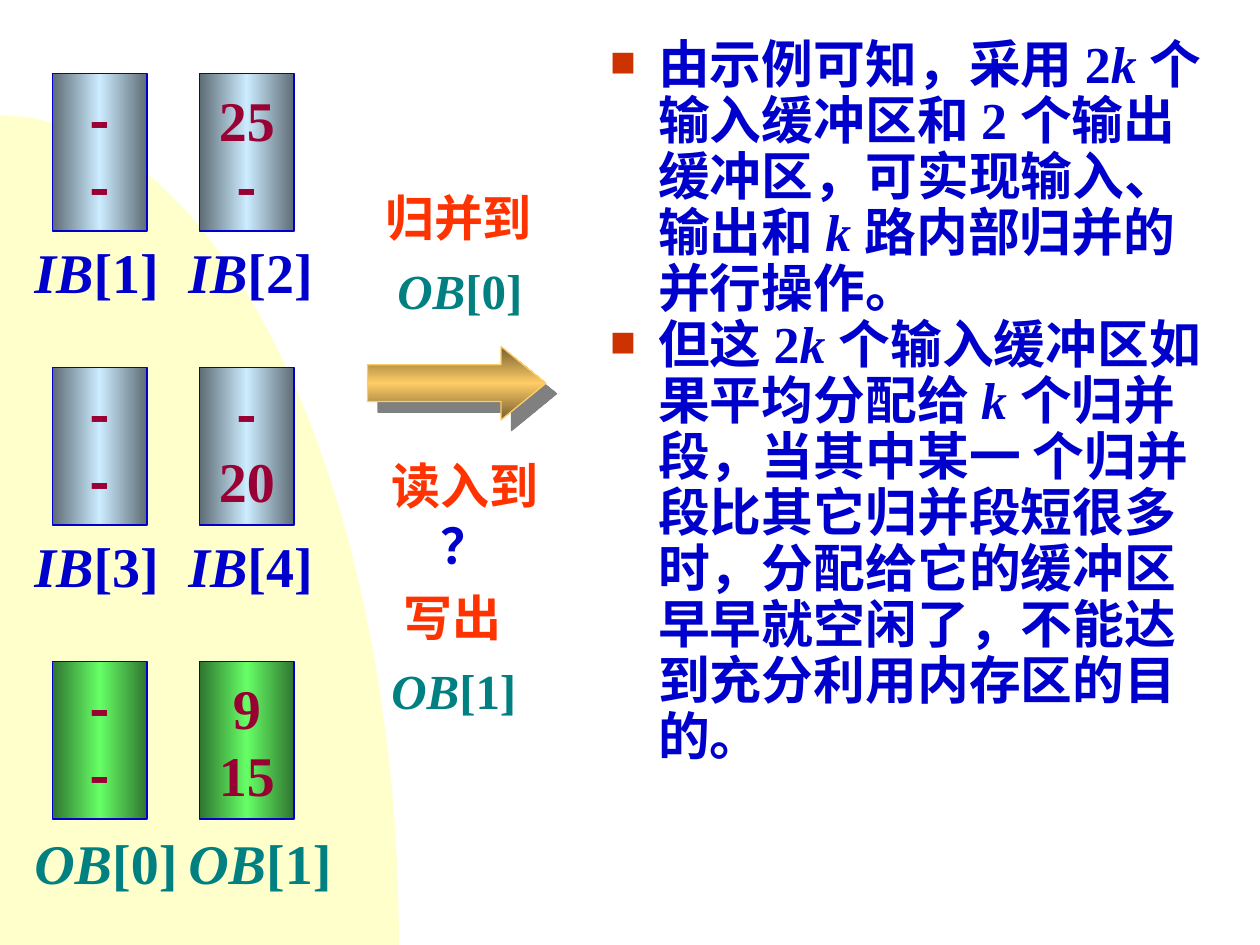
from math import cos, pi, sin

from lxml.etree import SubElement
from pptx import Presentation
from pptx.dml.color import RGBColor
from pptx.enum.shapes import MSO_SHAPE as SHAPE
from pptx.enum.text import MSO_ANCHOR as ANCHOR, PP_ALIGN as ALIGN
from pptx.oxml.ns import qn
from pptx.util import Pt

COLORS = {
    "blue": "0000CC", "teal": "008080", "red": "FF3300", "wine": "990033",
    "cream": "FFFFCC", "bullet": "CC3300", "shadow": "808080", "gold": "FFCC66",
    "ice": "CCECFF", "ice_edge": "5E6C75", "green": "66FF66",
    "green_edge": "2F752F", "gold_edge": "755E2F",
}
LATIN, CJK = "Times New Roman", "Noto Sans CJK SC"


def add_runs(p, runs, size):
    for text, color, italic in runs:
        r = p.add_run()
        r.text = text
        fmt = {"size": Pt(size), "bold": True, "italic": italic,
               "name": CJK if text == "-" else LATIN}
        for key, value in fmt.items():
            setattr(r.font, key, value)
        r.font.color.rgb = RGBColor.from_string(COLORS[color])
        SubElement(r._r.rPr, qn("a:ea")).set("typeface", CJK)


def style_gradient(sp, color, angle, line):
    sp.shadow.inherit = False
    sp.fill.gradient()
    sp.fill.gradient_angle = angle
    stops = sp._element.spPr.find(qn("a:gradFill")).find(qn("a:gsLst"))
    for gs in list(stops):
        stops.remove(gs)
    for pos, name in ((0, color + "_edge"), (50000, color), (100000, color + "_edge")):
        gs = SubElement(stops, qn("a:gs"), pos=str(pos))
        SubElement(gs, qn("a:srgbClr"), val=COLORS[name])
    sp.line.color.rgb = RGBColor.from_string(COLORS[line])
    sp.line.width = Pt(0.75)


prs = Presentation()
prs.slide_width, prs.slide_height = Pt(720), Pt(540)
s = prs.slides.add_slide(prs.slide_layouts[6])

arc = [(Pt(228 * sin(a)), Pt(540 - 474 * cos(a)))
       for a in (pi / 2 * i / 60 for i in range(61))]
fb = s.shapes.build_freeform(0, Pt(540))
fb.add_line_segments(arc)
sp = fb.convert_to_shape()
sp.shadow.inherit = False
sp.fill.solid()
sp.fill.fore_color.rgb = RGBColor.from_string(COLORS["cream"])
sp.line.fill.background()

buffer_rows = [
    ("ice", "blue", 132, [("IB", "[1]", "--"), ("IB", "[2]", ("25", "-"))]),
    ("ice", "blue", 300, [("IB", "[3]", "--"), ("IB", "[4]", ("-", "20"))]),
    ("green", "teal", 470, [("OB", "[0]", "--"), ("OB", "[1]", ("9", "15"))]),
]
for row, (fill, label_color, label_top, buffers) in enumerate(buffer_rows):
    label = []
    for col, (name, index, values) in enumerate(buffers):
        sp = s.shapes.add_shape(SHAPE.RECTANGLE, Pt(30 + 84 * col),
                                Pt(42 + 168 * row), Pt(54), Pt(90))
        style_gradient(sp, fill, 0, "blue")
        tf = sp.text_frame
        tf.word_wrap = False
        tf.vertical_anchor = ANCHOR.MIDDLE
        for i, value in enumerate(values):
            p = tf.add_paragraph() if i else tf.paragraphs[0]
            p.alignment = ALIGN.CENTER
            p.line_spacing = Pt(38.3)
            add_runs(p, [(value, "wine", False)], 32)
        label += [(name, label_color, True),
                  (index if col else index + "\t", label_color, False)]
    tf = s.shapes.add_textbox(Pt(12.5), Pt(label_top), Pt(190), Pt(46)).text_frame
    tf.word_wrap = True
    p = tf.paragraphs[0]
    tabs = SubElement(p._p.get_or_add_pPr(), qn("a:tabLst"))
    SubElement(tabs, qn("a:tab"), pos=str(Pt(88)), algn="l")
    add_runs(p, label, 32)

step_boxes = [
    (213, 96, 88, [
        (7, 41.5, [("归并到", "red", False)]),
        (7, 41.5, [("OB", "teal", True), ("[0]", "teal", False)]),
    ]),
    (216.5, 256.5, 156, [
        (0, 34, [("读入到", "red", False)]),
        (28, 34, [("？", "blue", False)]),
        (7, 41.5, [("写出", "red", False)]),
        (0, 41.5, [("OB", "teal", True), ("[1]", "teal", False)]),
    ]),
]
step_boxes[0][3][0] = (0, *step_boxes[0][3][0][1:])
for left, top, height, lines in step_boxes:
    tf = s.shapes.add_textbox(Pt(left), Pt(top), Pt(106), Pt(height)).text_frame
    tf.word_wrap = True
    for i, (indent, spacing, runs) in enumerate(lines):
        p = tf.add_paragraph() if i else tf.paragraphs[0]
        p._p.get_or_add_pPr().set("marL", str(Pt(indent)))
        p.line_spacing = Pt(spacing)
        add_runs(p, runs, 28)

sp = s.shapes.add_shape(SHAPE.RIGHT_ARROW, Pt(210), Pt(198), Pt(102), Pt(42))
sp.adjustments[0], sp.adjustments[1] = 0.5, 0.61
style_gradient(sp, "gold", 90, "gold")
effects = sp._element.spPr.find(qn("a:effectLst"))
shadow = SubElement(effects, qn("a:outerShdw"), dist=str(Pt(8.5)), dir="2700000",
                    algn="ctr", rotWithShape="0")
SubElement(shadow, qn("a:srgbClr"), val=COLORS["shadow"])

points = [
    ["由示例可知，采用 2", "k ", "个输入缓冲区和 2 个输出缓冲区，可实现输入、输出和 ",
     "k ", "路内部归并的并行操作。"],
    ["但这 2", "k ", "个输入缓冲区如果平均分配给 ", "k ",
     "个归并段，当其中某一 个归并段比其它归并段短很多时，分配给它的缓冲区早早就空闲了，"
     "不能达到充分利用内存区的目的。"],
]
tf = s.shapes.add_textbox(Pt(342), Pt(18), Pt(354), Pt(504)).text_frame
tf.word_wrap = True
for i, parts in enumerate(points):
    p = tf.add_paragraph() if i else tf.paragraphs[0]
    p.line_spacing = Pt(32)
    pPr = p._p.get_or_add_pPr()
    pPr.set("marL", str(Pt(27)))
    pPr.set("indent", str(Pt(-27)))
    SubElement(SubElement(pPr, qn("a:buClr")), qn("a:srgbClr"), val=COLORS["bullet"])
    SubElement(pPr, qn("a:buSzPct"), val="50000")
    SubElement(pPr, qn("a:buFont"), typeface=CJK)
    SubElement(pPr, qn("a:buChar"), char="■")
    add_runs(p, [(text, "blue", text == "k ") for text in parts], 29.6)

prs.save("out.pptx")
